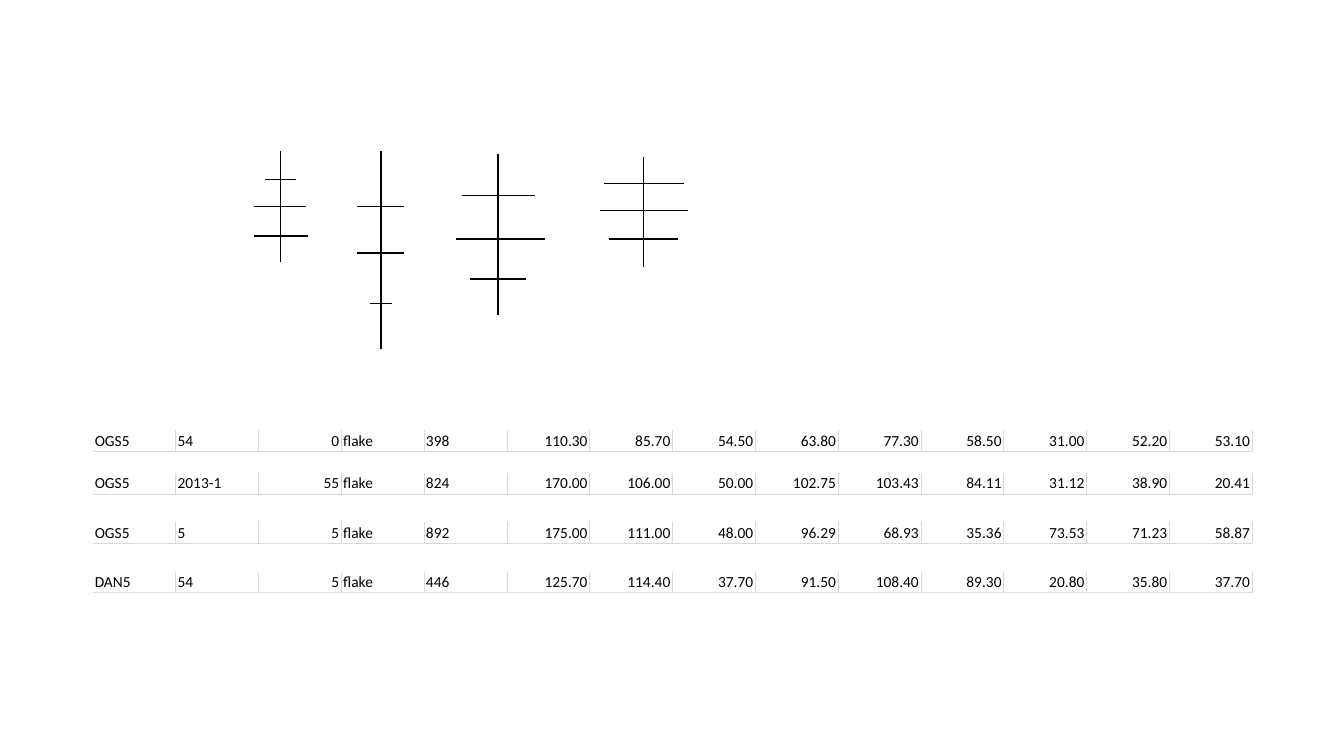
from dataclasses import dataclass

from lxml import etree
from pptx import Presentation
from pptx import util as u
from pptx.dml.color import RGBColor
from pptx.enum import shapes, text
from pptx.oxml import ns
from pptx.slide import Slide
from pptx.table import _Cell

PX = 9144


@dataclass(frozen=True)
class Theme:
    font: str = "Calibri"
    text_size: float = 11
    ink: str = "000000"
    cell_fill: str = "FFFFFF"
    border: str = "D6DADC"
    axis_width: float = 1
    border_width: float = 0.38


@dataclass(frozen=True)
class Width:
    left: int
    right: int
    y: int


@dataclass(frozen=True)
class Flake:
    x: int
    top: int
    bottom: int
    widths: tuple[Width, ...]


@dataclass(frozen=True)
class Record:
    top: int
    values: tuple[str, ...]


THEME = Theme()
SLIDE_WIDTH, SLIDE_HEIGHT = 1333, 750
TABLE_LEFT, TABLE_WIDTH, ROW_HEIGHT = 92, 1150, 21
MARGIN_X, MARGIN_Y = 2, 1
TEXT_COLUMNS = {0, 1, 3, 4}

FLAKES = (
    Flake(278, 150, 260, (Width(263, 294, 178), Width(252, 304, 205), Width(252, 305, 234))),
    Flake(378, 150, 346, (Width(354, 401, 205), Width(354, 401, 251), Width(367, 389, 301))),
    Flake(494, 153, 313, (Width(458, 531, 194), Width(452, 541, 237), Width(466, 522, 277))),
    Flake(638, 156, 265, (Width(599, 678, 182), Width(595, 682, 209), Width(604, 672, 237))),
)

RECORDS = (
    Record(427, ("OGS5", "54", "0", "flake", "398", "110.30", "85.70", "54.50",
                 "63.80", "77.30", "58.50", "31.00", "52.20", "53.10")),
    Record(469, ("OGS5", "2013-1", "55", "flake", "824", "170.00", "106.00", "50.00",
                 "102.75", "103.43", "84.11", "31.12", "38.90", "20.41")),
    Record(518, ("OGS5", "5", "5", "flake", "892", "175.00", "111.00", "48.00",
                 "96.29", "68.93", "35.36", "73.53", "71.23", "58.87")),
    Record(567, ("DAN5", "54", "5", "flake", "446", "125.70", "114.40", "37.70",
                 "91.50", "108.40", "89.30", "20.80", "35.80", "37.70")),
)


def px(length: int) -> u.Emu:
    return u.Emu(length * PX)


def colour(value: str) -> RGBColor:
    return RGBColor.from_string(value)


def draw_line(slide: Slide, x1: int, y1: int, x2: int, y2: int) -> None:
    connector = slide.shapes.add_connector(
        shapes.MSO_CONNECTOR.STRAIGHT, px(x1), px(y1), px(x2), px(y2))
    connector.line.color.rgb = colour(THEME.ink)
    connector.line.width = u.Pt(THEME.axis_width)
    etree.SubElement(connector._element.spPr, ns.qn("a:effectLst"))


def draw_flake(slide: Slide, flake: Flake) -> None:
    draw_line(slide, flake.x, flake.top, flake.x, flake.bottom)
    for width in flake.widths:
        draw_line(slide, width.left, width.y, width.right, width.y)


def set_borders(cell: _Cell, visible: set[str]) -> None:
    properties = cell._tc.get_or_add_tcPr()
    for index, side in enumerate("LRTB"):
        border = etree.Element(ns.qn(f"a:ln{side}"))
        if side in visible:
            border.set("w", str(int(u.Pt(THEME.border_width))))
            fill = etree.SubElement(border, ns.qn("a:solidFill"))
            etree.SubElement(fill, ns.qn("a:srgbClr"), val=THEME.border)
        else:
            etree.SubElement(border, ns.qn("a:noFill"))
        properties.insert(index, border)


def fill_cell(cell: _Cell, value: str, column: int) -> None:
    cell.margin_left = cell.margin_right = px(MARGIN_X)
    cell.margin_top = cell.margin_bottom = px(MARGIN_Y)
    cell.vertical_anchor = text.MSO_ANCHOR.MIDDLE
    cell.fill.solid()
    cell.fill.fore_color.rgb = colour(THEME.cell_fill)
    set_borders(cell, set("LRB") if column else set("RB"))
    cell.text_frame.text = value
    paragraph = cell.text_frame.paragraphs[0]
    paragraph.alignment = text.PP_ALIGN.LEFT if column in TEXT_COLUMNS else text.PP_ALIGN.RIGHT
    font = paragraph.runs[0].font
    font.name = THEME.font
    font.size = u.Pt(THEME.text_size)
    font.color.rgb = colour(THEME.ink)


def draw_record(slide: Slide, record: Record) -> None:
    table = slide.shapes.add_table(
        1, len(record.values), px(TABLE_LEFT), px(record.top),
        px(TABLE_WIDTH), px(ROW_HEIGHT)).table
    table.first_row = False
    table.horz_banding = False
    for column, value in enumerate(record.values):
        fill_cell(table.cell(0, column), value, column)


def main() -> None:
    presentation = Presentation()
    presentation.slide_width = px(SLIDE_WIDTH)
    presentation.slide_height = px(SLIDE_HEIGHT)
    slide = presentation.slides.add_slide(presentation.slide_layouts[6])
    for flake in FLAKES:
        draw_flake(slide, flake)
    for record in RECORDS:
        draw_record(slide, record)
    presentation.save("out.pptx")


if __name__ == "__main__":
    main()
